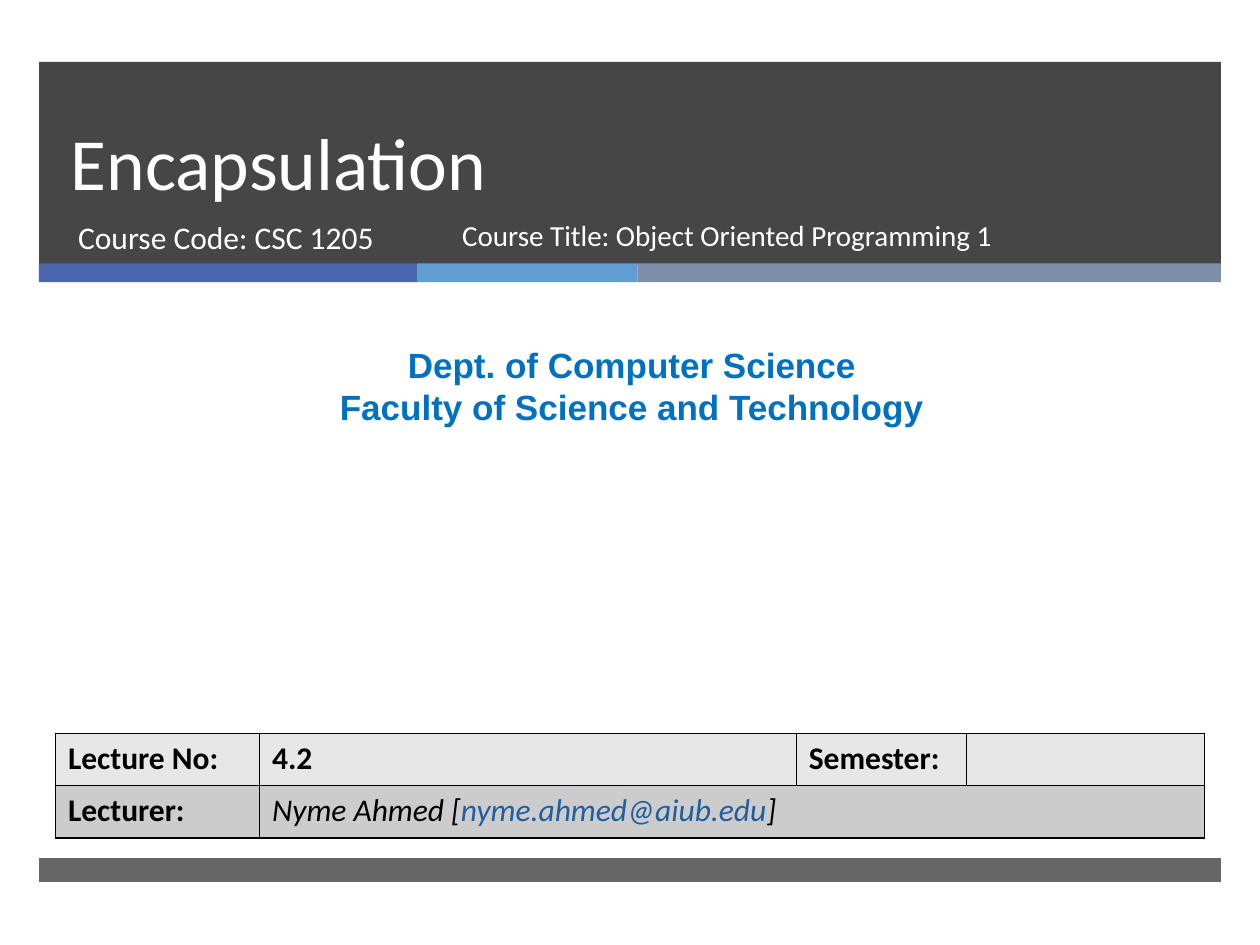
from dataclasses import dataclass

import pptx
import pptx.dml.color
import pptx.enum.shapes
import pptx.enum.text
import pptx.oxml
import pptx.oxml.ns
import pptx.util
from pptx.util import Inches

RGBColor = pptx.dml.color.RGBColor
Align = pptx.enum.text.PP_ALIGN
Anchor = pptx.enum.text.MSO_ANCHOR

WHITE = RGBColor(0xFF, 0xFF, 0xFF)
BLACK = RGBColor(0, 0, 0)
CHARCOAL = RGBColor(0x26, 0x26, 0x26)
INDIGO = RGBColor(0x4A, 0x66, 0xAC)
SKY = RGBColor(0x62, 0x9D, 0xD1)
SLATE = RGBColor(0x7F, 0x8F, 0xA9)
DEPARTMENT_BLUE = RGBColor(0x00, 0x70, 0xC0)
EMAIL_BLUE = RGBColor(0x1F, 0x5F, 0xA0)
LIGHT_ROW = RGBColor(0xE7, 0xE7, 0xE7)
DARK_ROW = RGBColor(0xCC, 0xCC, 0xCC)


@dataclass(frozen=True)
class Box:
    left: float
    top: float
    width: float
    height: float

    def lengths(self) -> tuple:
        return tuple(Inches(n) for n in (self.left, self.top, self.width, self.height))


@dataclass(frozen=True)
class Band:
    box: Box
    color: RGBColor
    opacity: int = 100


@dataclass(frozen=True)
class Style:
    size: float
    color: RGBColor
    face: str = "Calibri"
    bold: bool = False
    italic: bool = False


BANDS = [
    Band(Box(0.31, 0.49, 9.38, 1.61), CHARCOAL, 85),
    Band(Box(0.31, 2.09, 3, 0.15), INDIGO),
    Band(Box(3.31, 2.09, 1.75, 0.15), SKY),
    Band(Box(5.06, 2.09, 4.63, 0.15), SLATE),
    Band(Box(0.31, 6.81, 9.38, 0.19), CHARCOAL, 70),
]
LABEL = Style(18, BLACK, bold=True)
LECTURER = Style(18, BLACK, italic=True)
EMAIL = Style(18, EMAIL_BLUE, italic=True)
COLUMN_WIDTHS = [1.62, 4.26, 1.35, 1.89]
LECTURE_ROWS = [
    (LIGHT_ROW, [[("Lecture No:", LABEL)], [("4.2", LABEL)], [("Semester:", LABEL)], []]),
    (
        DARK_ROW,
        [
            [("Lecturer:", LABEL)],
            [("Nyme Ahmed [", LECTURER), ("nyme.ahmed@aiub.edu", EMAIL), ("]", LECTURER)],
            [],
            [],
        ],
    ),
]


def apply_style(font: pptx.text.text.Font, style: Style) -> None:
    font.name = style.face
    font.size = pptx.util.Pt(style.size)
    font.bold = style.bold
    font.italic = style.italic
    font.color.rgb = style.color


def draw_band(slide: pptx.slide.Slide, band: Band) -> None:
    bar = slide.shapes.add_shape(
        pptx.enum.shapes.MSO_SHAPE.RECTANGLE, *band.box.lengths()
    )
    bar.shadow.inherit = False
    bar.line.fill.background()
    bar.fill.solid()
    bar.fill.fore_color.rgb = band.color
    if band.opacity < 100:
        tint = bar.element.spPr.find(".//" + pptx.oxml.ns.qn("a:srgbClr"))
        alpha = pptx.oxml.parse_xml(
            f'<a:alpha {pptx.oxml.ns.nsdecls("a")} val="{band.opacity * 1000}"/>'
        )
        tint.append(alpha)


def set_text(
    holder: pptx.shapes.base.BaseShape,
    box: Box,
    text: str,
    style: Style,
    align: Align = Align.LEFT,
    anchor: Anchor = Anchor.TOP,
) -> None:
    holder.left, holder.top, holder.width, holder.height = box.lengths()
    frame = holder.text_frame
    frame.text = text
    frame.word_wrap = True
    frame.auto_size = pptx.enum.text.MSO_AUTO_SIZE.NONE
    frame.vertical_anchor = anchor
    for paragraph in frame.paragraphs:
        paragraph.alignment = align
        paragraph.space_before = pptx.util.Pt(0)
        for run in paragraph.runs:
            apply_style(run.font, style)


def add_text(
    slide: pptx.slide.Slide, box: Box, text: str, style: Style, align: Align = Align.LEFT
) -> None:
    set_text(slide.shapes.add_textbox(*box.lengths()), box, text, style, align)


def outline_cell(cell: pptx.table._Cell) -> None:
    properties = cell._tc.get_or_add_tcPr()
    for index, side in enumerate(("lnL", "lnR", "lnT", "lnB")):
        border = pptx.oxml.parse_xml(
            f'<a:{side} {pptx.oxml.ns.nsdecls("a")} w="12700"><a:solidFill>'
            f'<a:srgbClr val="{BLACK}"/></a:solidFill></a:{side}>'
        )
        properties.insert(index, border)


def add_lecture_table(slide: pptx.slide.Slide, box: Box) -> None:
    table = slide.shapes.add_table(
        len(LECTURE_ROWS), len(COLUMN_WIDTHS), *box.lengths()
    ).table
    table.first_row = False
    table.horz_banding = False
    for column, width in zip(table.columns, COLUMN_WIDTHS):
        column.width = Inches(width)
    for row, (shade, entries) in zip(table.rows, LECTURE_ROWS):
        for cell, pieces in zip(row.cells, entries):
            cell.fill.solid()
            cell.fill.fore_color.rgb = shade
            outline_cell(cell)
            for text, style in pieces:
                run = cell.text_frame.paragraphs[0].add_run()
                run.text = text
                apply_style(run.font, style)
    table.cell(1, 1).merge(table.cell(1, 3))


def main() -> None:
    deck = pptx.Presentation()
    deck.slide_width, deck.slide_height = Inches(10), Inches(7.5)
    slide = deck.slides.add_slide(deck.slide_layouts[0])
    topic, course_code = slide.placeholders

    for band in BANDS:
        draw_band(slide, band)
    for heading in (topic, course_code):
        heading.element.getparent().append(heading.element)

    set_text(topic, Box(0.46, 0.49, 8.54, 1.19), "Encapsulation",
             Style(42, WHITE), anchor=Anchor.BOTTOM)
    topic.text_frame.paragraphs[0].line_spacing = pptx.util.Pt(46)
    set_text(course_code, Box(0.52, 1.68, 3.05, 0.53), "Course Code: CSC 1205",
             Style(18, WHITE))
    add_text(slide, Box(0.08, 2.68, 9.87, 0.77),
             "Dept. of Computer Science\nFaculty of Science and Technology",
             Style(20, DEPARTMENT_BLUE, "Arial", bold=True), Align.CENTER)
    add_text(slide, Box(3.57, 1.68, 4.61, 0.53),
             "Course Title: Object Oriented Programming 1", Style(16.6, WHITE))
    add_lecture_table(slide, Box(0.44, 5.82, 9.12, 0.83))
    deck.save("out.pptx")


if __name__ == "__main__":
    main()
